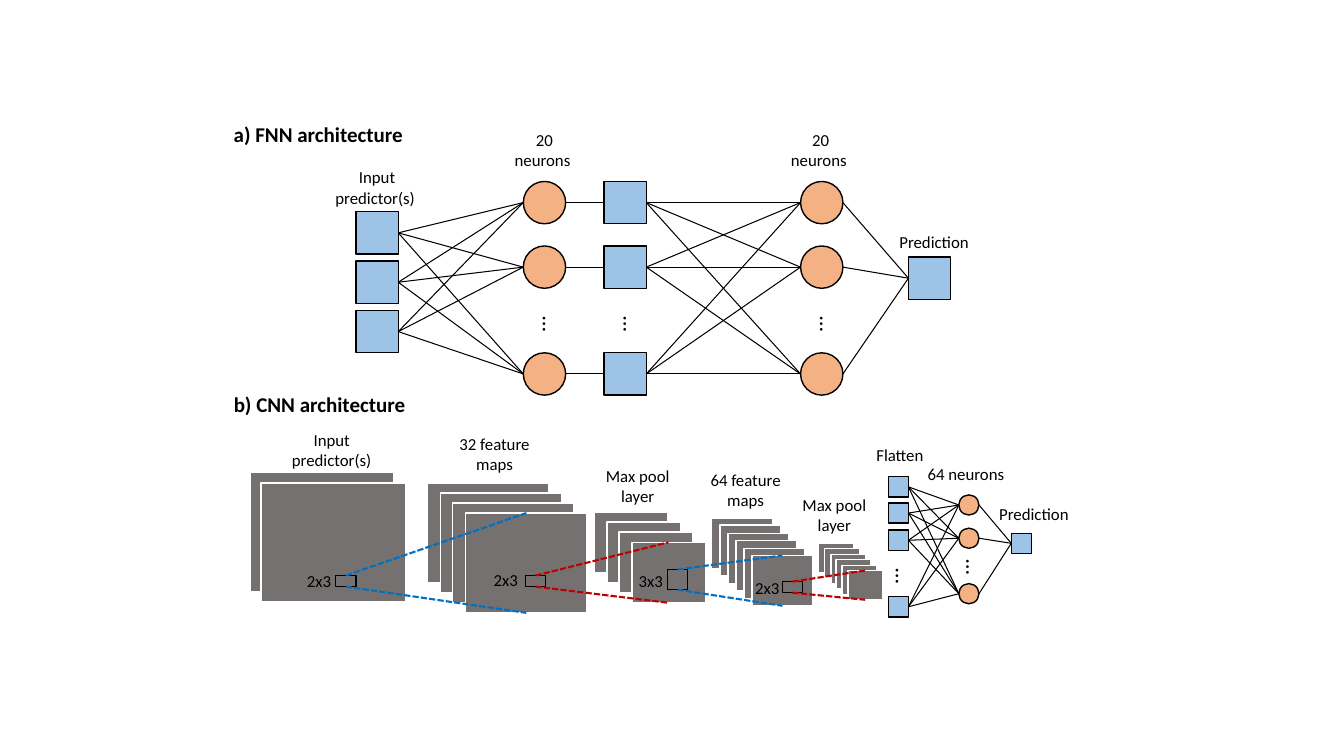
import itertools

import lxml.etree
import pptx
import pptx.dml.color
import pptx.enum.dml
import pptx.enum.shapes
import pptx.enum.text
import pptx.oxml.ns
import pptx.util

PX = 9144
BLACK = pptx.dml.color.RGBColor(0x00, 0x00, 0x00)
WHITE = pptx.dml.color.RGBColor(0xFF, 0xFF, 0xFF)
GREY = pptx.dml.color.RGBColor(0x76, 0x71, 0x71)
LIGHT_BLUE = pptx.dml.color.RGBColor(0x9D, 0xC3, 0xE6)
ORANGE = pptx.dml.color.RGBColor(0xF4, 0xB1, 0x83)
BLUE = pptx.dml.color.RGBColor(0x00, 0x70, 0xC0)
RED = pptx.dml.color.RGBColor(0xC0, 0x00, 0x00)

RECT = pptx.enum.shapes.MSO_SHAPE.RECTANGLE
OVAL = pptx.enum.shapes.MSO_SHAPE.OVAL
CENTER = pptx.enum.text.PP_ALIGN.CENTER
LEFT = pptx.enum.text.PP_ALIGN.LEFT

FNN_LABELS = [
    ("Input\npredictor(s) ", (319, 161, 110, 50)),
    ("20 neurons ", (500, 124, 80, 50)),
    ("20 neurons ", (774, 124, 80, 50)),
    ("Prediction", (876, 225, 101, 30)),
]
CNN_LABELS = [
    ("Input predictor(s)", (269, 421, 120, 50)),
    ("32 feature maps", (440, 425, 101, 50)),
    ("Max pool layer", (582, 457, 101, 50)),
    ("64 feature maps", (689, 461, 101, 50)),
    ("Max pool layer", (777, 486, 101, 50)),
    ("Flatten", (842, 436, 101, 30)),
    ("64 neurons", (887, 455, 142, 30)),
    ("Prediction", (975, 495, 101, 30)),
    ("2x3", (286, 561, 61, 30)),
    ("2x3", (472, 560, 59, 30)),
    ("3x3", (595, 561, 101, 30)),
    ("2x3", (720, 568, 82, 30)),
]
# first map, last map, map size, number of maps, kernel box, colour of the rays coming in
STAGES = [
    ((248, 469), (259, 479), (143, 118), 2, (333, 571, 20, 11), None),
    ((424, 479), (462, 509), (120, 99), 4, (521, 571, 20, 11), BLUE),
    ((589, 508), (627, 538), (73, 60), 4, (662, 565, 20, 20), RED),
    ((706, 514), (746, 551), (60, 50), 6, (776, 577, 20, 11), BLUE),
    ((812, 539), (841, 566), (35, 29), 6, None, RED),
]


def add_text(s, text, box, size=12, bold=False, align=CENTER, rotation=0):
    tb = s.shapes.add_textbox(*(v * PX for v in box))
    tb.rotation = rotation
    tf = tb.text_frame
    tf.word_wrap = True
    tf.auto_size = pptx.enum.text.MSO_AUTO_SIZE.SHAPE_TO_FIT_TEXT
    tf.text = text
    for p in tf.paragraphs:
        p.alignment = align
        for r in p.runs:
            r.font.name = "Calibri"
            r.font.size = pptx.util.Pt(size)
            r.font.bold = bold
            r.font.color.rgb = BLACK


def add_box(s, kind, box, fill=None, line=BLACK):
    sp = s.shapes.add_shape(kind, *(v * PX for v in box))
    sp.shadow.inherit = False
    if fill is None:
        sp.fill.background()
    else:
        sp.fill.solid()
        sp.fill.fore_color.rgb = fill
    sp.line.color.rgb = line
    sp.line.width = pptx.util.Pt(1)


def add_line(s, start, end, color=BLACK, width=0.75, dashed=False):
    cxn = s.shapes.add_connector(
        pptx.enum.shapes.MSO_CONNECTOR.STRAIGHT, *(v * PX for v in start + end))
    lxml.etree.SubElement(cxn._element.spPr, pptx.oxml.ns.qn("a:effectLst"))
    cxn.line.color.rgb = color
    cxn.line.width = pptx.util.Pt(width)
    if dashed:
        cxn.line.dash_style = pptx.enum.dml.MSO_LINE.SQUARE_DOT


def add_column(s, kind, x, tops, size):
    boxes = [(x, y, size, size) for y in tops]
    for box in boxes:
        add_box(s, kind, box, ORANGE if kind == OVAL else LIGHT_BLUE)
    return boxes


def link(s, pairs):
    for (x1, y1, w1, h1), (x2, y2, w2, h2) in pairs:
        add_line(s, (x1 + w1, y1 + h1 // 2), (x2, y2 + h2 // 2))


def add_dots(s, x, y):
    add_text(s, "…", (x, y, 44, 37), size=16, rotation=90)


def add_labels(s, labels):
    for text, box in labels:
        add_text(s, text, box)


def add_fnn(s):
    rows = (180, 244, 350)
    inputs = add_column(s, RECT, 353, range(210, 309, 49), 42)
    first = add_column(s, OVAL, 519, rows, 42)
    outputs = add_column(s, RECT, 599, rows, 42)
    second = add_column(s, OVAL, 794, rows, 42)
    prediction = add_column(s, RECT, 901, [255], 42)
    link(s, itertools.product(inputs, first))
    link(s, zip(first, outputs))
    link(s, itertools.product(outputs, second))
    link(s, itertools.product(second, prediction))
    for x in (525, 605, 800):
        add_dots(s, x, 303)
    add_labels(s, FNN_LABELS)


def add_feature_maps(s):
    previous = None
    for (x1, y1), (x2, y2), (w, h), count, kernel, color in STAGES:
        for i in range(count):
            t = i / (count - 1)
            add_box(s, RECT, (round(x1 + (x2 - x1) * t), round(y1 + (y2 - y1) * t), w, h),
                    GREY, WHITE)
        if previous:
            kx, ky, kw, kh = previous
            for start, end in ((ky, y2), (ky + kh, y2 + h)):
                add_line(s, (kx + kw // 2, start), (x2 + w // 2, end), color, 1.5, True)
        if kernel:
            add_box(s, RECT, kernel)
        previous = kernel


def add_cnn(s):
    add_feature_maps(s)
    flat = add_column(s, RECT, 881, (473, 499, 526, 592), 20)
    neurons = add_column(s, OVAL, 951, (491, 524, 579), 20)
    prediction = add_column(s, RECT, 1003, [529], 20)
    link(s, itertools.product(flat, neurons))
    link(s, itertools.product(neurons, prediction))
    add_dots(s, 875, 553)
    add_dots(s, 945, 544)
    add_labels(s, CNN_LABELS)


def main():
    prs = pptx.Presentation()
    prs.slide_width = 1333 * PX
    prs.slide_height = 750 * PX
    s = prs.slides.add_slide(prs.slide_layouts[6])
    add_cnn(s)
    add_fnn(s)
    add_text(s, "a) FNN architecture", (222, 116, 313, 35), size=15, bold=True, align=LEFT)
    add_text(s, "b) CNN architecture", (222, 383, 272, 35), size=15, bold=True, align=LEFT)
    prs.save("out.pptx")


if __name__ == "__main__":
    main()
